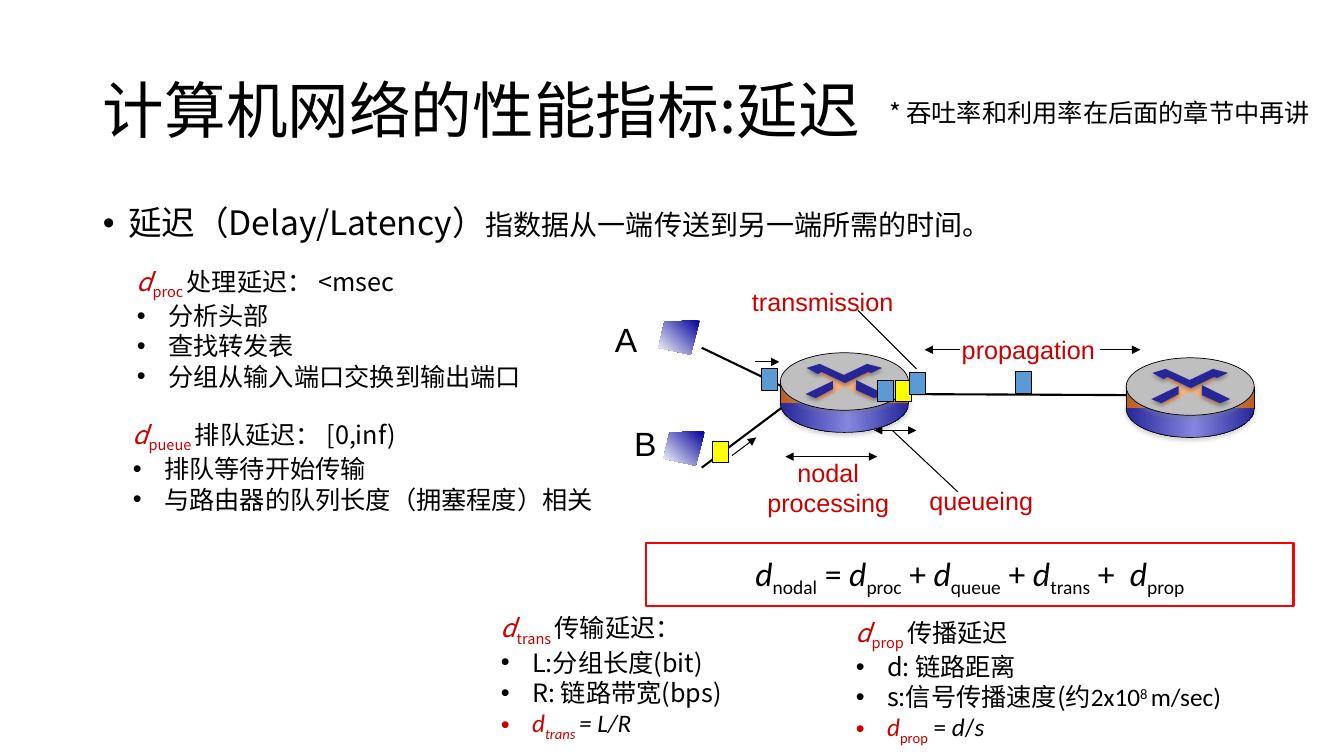
from dataclasses import dataclass

from lxml.etree import SubElement
from pptx import Presentation
from pptx.dml.color import RGBColor
from pptx.enum.shapes import MSO_CONNECTOR, MSO_SHAPE
from pptx.enum.text import MSO_ANCHOR, MSO_AUTO_SIZE as AutoSize, PP_ALIGN
from pptx.oxml import parse_xml
from pptx.oxml.ns import nsdecls, qn
from pptx.util import Inches, Pt

COLORS = {
    "black": "000000", "red": "CC0000", "frame": "FF0000", "blue": "5B9BD5",
    "yellow": "FFFF00", "navy": "262699", "violet": "8585E0", "gray": "BFBFBF",
    "shade": "808080", "rust": "C55A11", "peach": "F4B183",
    "screen": "000099", "white": "FFFFFF",
}
CJK, LATIN, LABEL = "Noto Sans CJK SC", "Calibri", "Arial"
CELL = Inches(0.1)
COLUMNS, ROWS = 133.3, 75
INDENT = 3.1

HUB = [(6.4, 3.4), (3.9, 4.7), (3.3, 4.4), (5.2, 3.6), (5.1, 2.8), (3.7, 2), (4.2, 1.9),
       (6.3, 2.9), (8.5, 1.8), (9.2, 2), (7.6, 2.7), (7.9, 3.8), (9.5, 4.4), (8.9, 4.6)]
UPPER_ARMS = [(2.6, 1.5), (3.9, 1.1), (6.3, 2.2), (8.6, 1.1), (10.1, 1.5),
              (9, 2), (8.7, 1.9), (6.4, 3), (4.1, 1.9), (3.7, 2.1)]
RIGHT_ARM = [(7.5, 2.7), (10.3, 4.1), (9.3, 4.5), (7.5, 3.7)]
LEFT_ARM = [(5.2, 2.8), (5.2, 3.6), (3.5, 4.5), (2.5, 4.1)]
SCREEN = [(4.1, 0), (0.6, 0.1), (0, 2.7), (3.2, 3.4)]

NOTES = [
    ((12.6, 25.9, 43.7, 13.1), [
        [("d", "ri"), ("proc ", "r-"), ("处理延迟： <msec", "")],
        [("分析头部", "")], [("查找转发表", "")], [("分组从输入端口交换到输出端口", "")]]),
    ((12.2, 41.1, 48.2, 10.1), [
        [("d", "ri"), ("pueue ", "r-"), ("排队延迟： [0,inf)", "")],
        [("排队等待开始传输", "")], [("与路由器的队列长度（拥塞程度）相关", "")]]),
    ((48.7, 60.3, 43.7, 13.1), [
        [("d", "ri"), ("trans ", "r-"), ("传输延迟：", "")],
        [("L:分组长度(bit)", "")], [("R: 链路带宽(bps)", "")],
        [("d", "ric"), ("trans ", "ri-c"), ("= L/R", "ic")]]),
    ((83.9, 60.7, 48.2, 13.5), [
        [("d", "ri"), ("prop ", "r-"), ("传播延迟", "")],
        [("d: 链路距离", "")],
        [("s:信号传播速度(约", ""), ("2x10", "c"), ("8 ", "+c"), ("m/sec)", "c")],
        [("d", "ric"), ("prop", "r-c"), (" = ", "c"), ("d", "ic"), ("/", "c"), ("s", "ic")]]),
]


@dataclass
class Box:
    """A region of the slide, measured in grid columns and rows."""
    left: float
    top: float
    width: float
    height: float

    def inner(self, x, y, width, height):
        """Return a box offset from this one's corner."""
        return Box(self.left + x, self.top + y, width, height)

    def point(self, x, y):
        """Return the slide position of an offset."""
        return round((self.left + x) * CELL), round((self.top + y) * CELL)

    def frame(self):
        """Return left, top, width and height as slide lengths."""
        return [round(n * CELL) for n in (self.left, self.top, self.width, self.height)]


def rgb(name):
    """Look a colour up by name."""
    return RGBColor.from_string(COLORS[name])


def style_run(span, size, font=CJK, color="black", italic=False, baseline=0):
    """Format one run of text."""
    span.font.size, span.font.name = Pt(size), font
    span.font.color.rgb = rgb(color)
    span.font.italic = italic
    props = span._r.get_or_add_rPr()
    SubElement(props, qn("a:ea")).set("typeface", font)
    if baseline:
        props.set("baseline", str(baseline))


def add_runs(para, runs, size, font=CJK):
    """Add runs flagged r red, i italic, - subscript, + superscript, c Latin font."""
    for text, flags in runs:
        span = para.add_run()
        span.text = text
        baseline = -25000 if "-" in flags else 30000 if "+" in flags else 0
        style_run(span, size, LATIN if "c" in flags else font,
                  "red" if "r" in flags else "black", "i" in flags, baseline)


def add_bullet(para, indent):
    """Give a paragraph a round bullet and a hanging indent."""
    props = para._p.get_or_add_pPr()
    props.set("marL", str(round(indent * CELL)))
    props.set("indent", str(-round(indent * CELL)))
    SubElement(props, qn("a:buFont")).set("typeface", LABEL)
    SubElement(props, qn("a:buChar")).set("char", "•")


def add_effects(shape, shadow=None):
    """Set a soft drop shadow of the named colour, or none."""
    effects = SubElement(shape._element.spPr, qn("a:effectLst"))
    if shadow:
        effects.append(parse_xml(
            f'<a:outerShdw {nsdecls("a")} blurRad="39400" dist="22900" dir="5400000" rotWithShape="0">'
            f'<a:srgbClr val="{COLORS[shadow]}"><a:alpha val="35000"/></a:srgbClr></a:outerShdw>'))


def paint(shape, fill=None, line=None, weight=0.75, shadow=None, angle=0):
    """Fill and outline a shape; a tuple of (share, colour) makes a gradient."""
    if isinstance(fill, tuple):
        stops = "".join(f'<a:gs pos="{share * 1000}"><a:srgbClr val="{COLORS[name]}"/></a:gs>'
                        for share, name in fill)
        shape._element.spPr.insert(2, parse_xml(
            f'<a:gradFill {nsdecls("a")} rotWithShape="1"><a:gsLst>{stops}</a:gsLst>'
            f'<a:lin ang="{angle * 60000}" scaled="0"/></a:gradFill>'))
    elif fill:
        shape.fill.solid()
        shape.fill.fore_color.rgb = rgb(fill)
    else:
        shape.fill.background()
    if line:
        shape.line.color.rgb, shape.line.width = rgb(line), Pt(weight)
    else:
        shape.line.fill.background()
    add_effects(shape, shadow)


def add_outline(page, box, points, fill, **look):
    """Draw a closed polygon from offsets in a box."""
    corners = [box.point(*point) for point in points]
    builder = page.shapes.build_freeform(*corners[0])
    builder.add_line_segments(corners[1:], close=True)
    paint(builder.convert_to_shape(), fill, **look)


def add_line(page, box, start, end, weight=0.75, heads=(), shadow=None):
    """Draw a straight line between two offsets, with optional arrowheads."""
    line = page.shapes.add_connector(MSO_CONNECTOR.STRAIGHT, *box.point(*start), *box.point(*end))
    line.line.color.rgb, line.line.width = rgb("black"), Pt(weight)
    for head in heads:
        SubElement(line.line._get_or_add_ln(), qn(f"a:{head}")).set("type", "triangle")
    add_effects(line, shadow)


def add_text(page, box, wrap=True):
    """Add an empty text box and return its frame."""
    frame = page.shapes.add_textbox(*box.frame()).text_frame
    frame.word_wrap, frame.auto_size = wrap, AutoSize.SHAPE_TO_FIT_TEXT
    return frame


def add_label(page, box, text, size=18, color="red"):
    """Add a diagram label, centred when it has several lines."""
    frame = add_text(page, box, wrap=False)
    frame.text = text
    for para in frame.paragraphs:
        para.alignment = PP_ALIGN.CENTER if "\n" in text else PP_ALIGN.LEFT
        style_run(para.runs[0], size, LABEL, color)


def add_router(page, box):
    """Draw a router as a disc with crossed arms."""
    disc, depth = box.width, 5.7
    blues = ((0, "navy"), (53, "violet"), (100, "navy"))
    rusts = ((0, "rust"), (53, "peach"), (100, "rust"))
    for kind, y, height, fill, line, shadow in (
            (MSO_SHAPE.OVAL, 2.2, depth, blues, "black", "shade"),
            (MSO_SHAPE.RECTANGLE, 2.9, 2.1, rusts, None, None),
            (MSO_SHAPE.OVAL, 0, depth, "gray", "black", "shade")):
        part = page.shapes.add_shape(kind, *box.inner(0, y, disc, height).frame())
        paint(part, fill, line, 0.5, shadow)
    add_outline(page, box, HUB, "peach")
    for arm in (UPPER_ARMS, RIGHT_ARM, LEFT_ARM):
        add_outline(page, box, arm, "navy", shadow="black")
    for x in (0, disc):
        add_line(page, box, (x, 5.1), (x, 2.9), 0.5, shadow="shade")


def add_diagram(page, box):
    """Draw two hosts, two routers, the packets between them and the delay labels."""
    for start, end in (((9.6, 6.6), (17.7, 10.5)), ((9.6, 18.5), (17.6, 12.5)),
                       ((30.6, 11.2), (51.8, 11.3))):
        add_line(page, box, start, end, 1.5)
    for x, y in ((17.4, 7.1), (51.7, 7.6)):
        add_router(page, box.inner(x, y, 12.7, 7.9))
    for x, y in ((5.3, 3.9), (5.8, 14.9)):
        add_outline(page, box.inner(x, y, 4.1, 3.4), SCREEN,
                    ((0, "screen"), (100, "white")), angle=135)
    for x, y, color in ((40.7, 9, "blue"), (27, 9.8, "blue"), (28.8, 9.8, "yellow"),
                        (30.2, 9.1, "blue"), (15.5, 8.7, "blue"), (10.7, 15.9, "yellow")):
        packet = page.shapes.add_shape(MSO_SHAPE.RECTANGLE, *box.inner(x, y, 1.6, 2.1).frame())
        paint(packet, color, "black")
    one, both = ("tailEnd",), ("headEnd", "tailEnd")
    for start, end, heads in (
            ((49.1, 6.8), (53.1, 6.8), one), ((35.2, 6.8), (31.7, 6.8), one),
            ((27, 17.4), (17.9, 17.4), both), ((30.9, 14.8), (26.7, 14.8), both),
            ((14.9, 8), (17.3, 8), one), ((12.6, 17.3), (15, 15.5), one),
            ((35, 20.9), (28.5, 14.8), ()), ((25.1, 2.9), (30.9, 8.7), ())):
        add_line(page, box, start, end, heads=heads)
    for x, y, width, height, text in (
            (34.4, 4.8, 15.2, 4, "propagation"), (15.1, 17, 14.1, 7, "nodal\nprocessing"),
            (31.2, 19.8, 12.3, 4, "queueing"), (13.6, 0, 16, 4, "transmission")):
        add_label(page, box.inner(x, y, width, height), text)
    add_label(page, box.inner(0, 3.2, 4.4, 5), "A", 24, "black")
    add_label(page, box.inner(1.9, 13.6, 4.2, 5), "B", 24, "black")


def add_formula(page, box):
    """Add the framed sum of the four delays."""
    shape = page.shapes.add_shape(MSO_SHAPE.RECTANGLE, *box.frame())
    paint(shape, None, "frame", 1.5)
    para = shape.text_frame.paragraphs[0]
    para.alignment, para.line_spacing = PP_ALIGN.CENTER, 0.85
    for name, sign in (("nodal", " = "), ("proc", " + "), ("queue", " + "),
                       ("trans", " +  "), ("prop", "")):
        parts = [("d", "i"), (name, "-"), (sign, "")]
        add_runs(para, [part for part in parts if part[0]], 24, LATIN)


def add_note(page, box, lines):
    """Add a delay's heading followed by its bullets."""
    frame = add_text(page, box)
    for index, runs in enumerate(lines):
        para = frame.add_paragraph() if index else frame.paragraphs[0]
        if index:
            add_bullet(para, INDENT)
        add_runs(para, runs, 18)


def fill_placeholder(holder, box, anchor):
    """Move a placeholder and return its first paragraph."""
    holder.left, holder.top, holder.width, holder.height = box.frame()
    frame = holder.text_frame
    frame.vertical_anchor, frame.auto_size, frame.word_wrap = anchor, AutoSize.NONE, True
    para = frame.paragraphs[0]
    para.alignment, para.line_spacing, para.space_before = PP_ALIGN.LEFT, 0.9, Pt(0)
    return para


def add_heading(page, box):
    """Fill the title, the remark beside it and the definition below."""
    title = fill_placeholder(page.shapes.title, box.inner(0, 0, box.width, 14.5), MSO_ANCHOR.MIDDLE)
    add_runs(title, [("计算机网络的性能指标:延迟", "")], 44)
    body = fill_placeholder(page.placeholders[1], box.inner(0, 16, box.width, 47.6), MSO_ANCHOR.TOP)
    add_bullet(body, 2.5)
    add_runs(body, [("延迟（Delay/Latency）", "")], 24)
    add_runs(body, [("指数据从一端传送到另一端所需的时间。", "")], 20)
    remark = add_text(page, box.inner(78, 5.2, COLUMNS - box.left - 78, 4))
    add_runs(remark.paragraphs[0], [("* 吞吐率和利用率在后面的章节中再讲", "")], 18)


def main():
    """Build the slide and save it."""
    deck = Presentation()
    deck.slide_width, deck.slide_height = round(COLUMNS * CELL), ROWS * CELL
    page = deck.slides.add_slide(deck.slide_layouts[1])
    add_heading(page, Box(9.2, 4, 115, 63.6))
    add_diagram(page, Box(60, 27.9, 64.5, 24))
    add_formula(page, Box(64.1, 53.9, 64.2, 6.2))
    for area, lines in NOTES:
        add_note(page, Box(*area), lines)
    deck.save("out.pptx")


if __name__ == "__main__":
    main()
